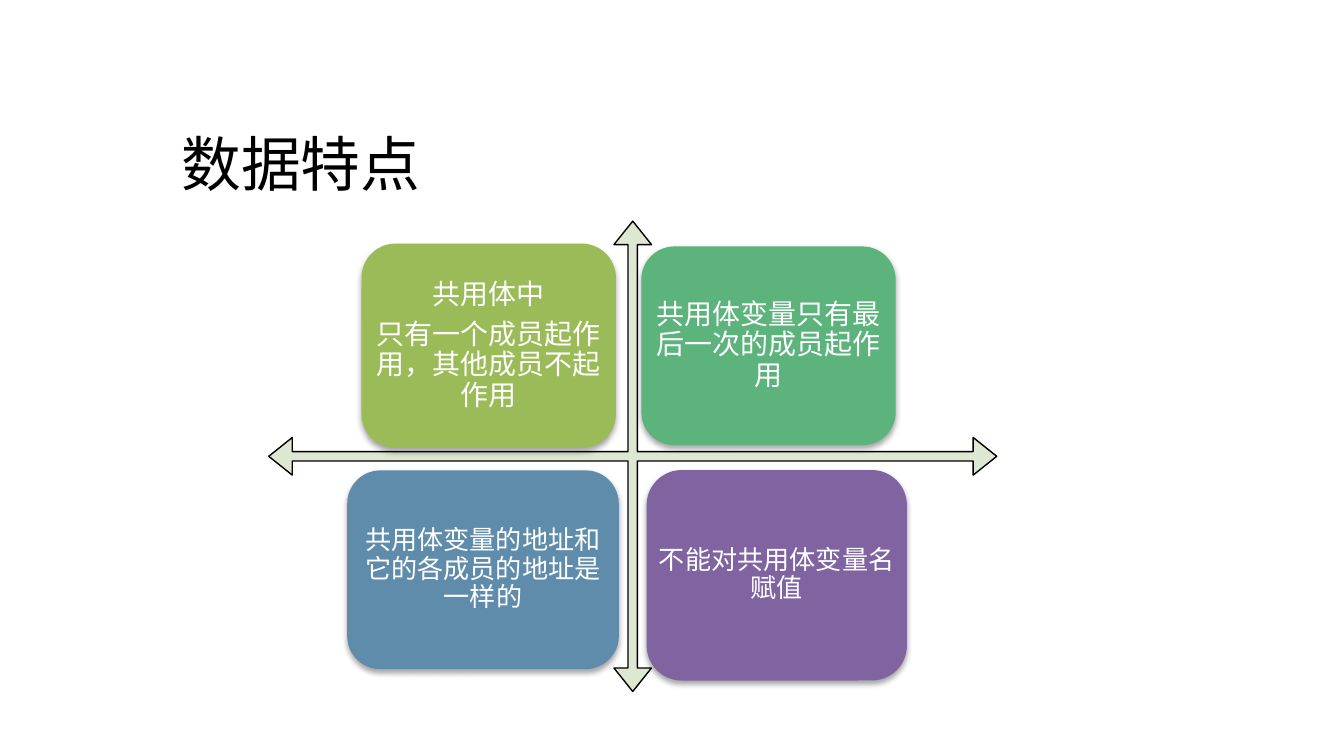
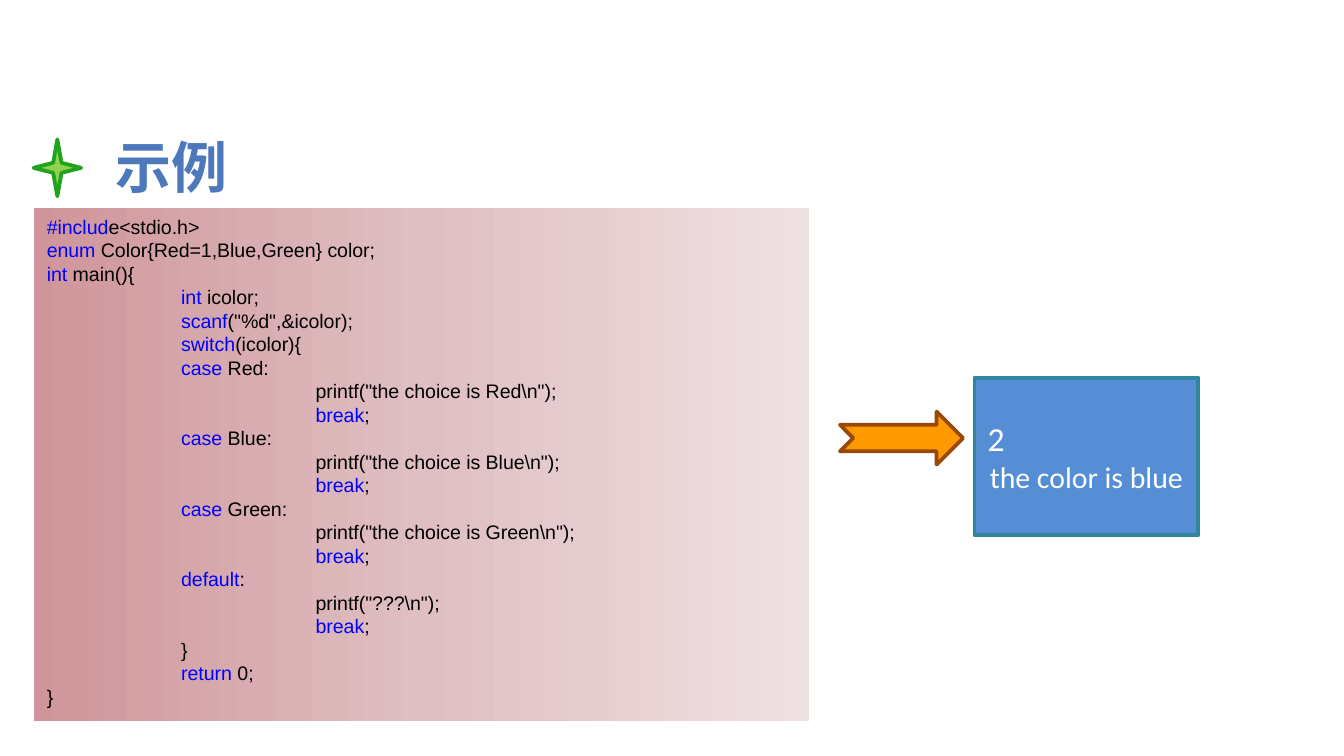
from copy import deepcopy

from lxml.etree import SubElement
from pptx import Presentation
from pptx.dml.color import RGBColor
from pptx.enum.shapes import MSO_SHAPE
from pptx.enum.text import MSO_ANCHOR, PP_ALIGN
from pptx.oxml.ns import qn
from pptx.util import Pt

COLORS = {
    "black": "000000", "white": "FFFFFF", "axis": "DEE7D1",
    "lime": "9BBB59", "green": "5CB37C", "steel": "608CAB", "purple": "8064A2",
    "heading": "4D79BC", "star": "92D050", "star_edge": "20A31D",
    "keyword": "0000FF", "code_left": "CF959A", "code_mid": "DFBFC2", "code_right": "EFE0E1",
    "arrow": "FF9900", "arrow_edge": "984807", "result": "558ED5", "result_edge": "31859C",
}
rgb = {name: RGBColor.from_string(value) for name, value in COLORS.items()}

deck = Presentation()
deck.slide_width, deck.slide_height = Pt(720), Pt(405)


def add_titled_slide(text, box, size, color, font, bold=False):
    slide = deck.slides.add_slide(deck.slide_layouts[5])
    title = slide.shapes.title
    title.left, title.top, title.width, title.height = [Pt(v) for v in box]
    frame = title.text_frame
    frame.text = text
    frame.word_wrap = False
    frame.vertical_anchor = MSO_ANCHOR.MIDDLE
    frame.paragraphs[0].alignment = PP_ALIGN.LEFT
    run_font = frame.paragraphs[0].runs[0].font
    run_font.name, run_font.size, run_font.bold = font, Pt(size), bold
    run_font.color.rgb = rgb[color]
    return slide


def draw_shape(slide, preset, box, fill, edge=None, edge_width=2):
    shape = slide.shapes.add_shape(preset, *[Pt(v) for v in box])
    shape.shadow.inherit = False
    shape.fill.solid()
    shape.fill.fore_color.rgb = rgb[fill]
    if edge:
        shape.line.color.rgb = rgb[edge]
        shape.line.width = Pt(edge_width)
    else:
        shape.line.fill.background()
    return shape


features = add_titled_slide("数据特点", (90, 62.9, 258, 48), 32, "black", "Calibri")

axes = draw_shape(features, MSO_SHAPE.QUAD_ARROW, (144, 118.5, 390, 252), "axis", "black", 0.75)
for index, ratio in enumerate((0.02, 0.04, 0.05)):
    axes.adjustments[index] = ratio

quadrants = [
    ((193.7, 130.5, 136.3, 109.5), "lime", 15, "共用体中\n只有一个成员起作用，其他成员不起作用"),
    ((343.6, 132, 136.3, 106.5), "green", 15, "共用体变量只有最后一次的成员起作用"),
    ((186, 252, 145.5, 106.5), "steel", 14, "共用体变量的地址和它的各成员的地址是一样的"),
    ((346.4, 251.8, 139.5, 112.8), "purple", 14, "不能对共用体变量名赋值"),
]
for box, fill, size, feature in quadrants:
    quadrant = draw_shape(features, MSO_SHAPE.ROUNDED_RECTANGLE, box, fill)
    effects = quadrant._element.spPr.find(qn("a:effectLst"))
    shadow = SubElement(effects, qn("a:outerShdw"), blurRad=str(Pt(3.1)), dist=str(Pt(1.8)),
                        dir="5400000", rotWithShape="0")
    shade = SubElement(shadow, qn("a:srgbClr"), val=COLORS["black"])
    SubElement(shade, qn("a:alpha"), val="35000")
    frame = quadrant.text_frame
    frame.text = feature
    frame.word_wrap = True
    frame.vertical_anchor = MSO_ANCHOR.MIDDLE
    frame.margin_left = frame.margin_right = frame.margin_top = frame.margin_bottom = 0
    for paragraph in frame.paragraphs:
        paragraph.alignment = PP_ALIGN.CENTER
        paragraph.line_spacing = 0.9
        paragraph.space_after = Pt(size * 0.35)
        font = paragraph.runs[0].font
        font.name, font.size = "Calibri", Pt(size)
        font.color.rgb = rgb["white"]

example = add_titled_slide("示例", (54.8, 66.9, 75.6, 44), 30, "heading", "Arial", True)
draw_shape(example, MSO_SHAPE.STAR_4_POINT, (18, 74.7, 25.5, 30.5), "star", "star_edge")

listing = draw_shape(example, MSO_SHAPE.RECTANGLE, (18, 111.6, 415.5, 274.5), "code_left")
listing.fill.gradient()
listing.fill.gradient_angle = 0
stop_list = listing._element.spPr.find(qn("a:gradFill")).find(qn("a:gsLst"))
stop_list.insert(1, deepcopy(stop_list[0]))
for stop, (position, name) in zip(listing.fill.gradient_stops,
                                  [(0, "code_left"), (0.5, "code_mid"), (1, "code_right")]):
    stop.position = position
    stop.color.rgb = rgb[name]

code_lines = [
    (0, "#includ", "e<stdio.h>"),
    (0, "enum ", "Color{Red=1,Blue,Green} color;"),
    (0, "int", " main(){"),
    (1, "int ", "icolor;"),
    (1, "scanf", '("%d",&icolor);'),
    (1, "switch", "(icolor){"),
]
for label, message in [("Red", "the choice is Red"), ("Blue", "the choice is Blue"),
                       ("Green", "the choice is Green"), (None, "???")]:
    code_lines += [
        (1, "case", f" {label}:") if label else (1, "default", ":"),
        (2, "", f'printf("{message}\\n");'),
        (2, "break", ";"),
    ]
code_lines += [(1, "", "}"), (1, "return", " 0;"), (0, "", "}")]

frame = listing.text_frame
frame.word_wrap = True
frame.vertical_anchor = MSO_ANCHOR.TOP
for number, (depth, keyword, rest) in enumerate(code_lines):
    paragraph = frame.add_paragraph() if number else frame.paragraphs[0]
    paragraph.alignment = PP_ALIGN.LEFT
    paragraph.line_spacing = Pt(12.58)
    tab_stops = SubElement(paragraph._p.get_or_add_pPr(), qn("a:tabLst"))
    for step in (1, 2):
        SubElement(tab_stops, qn("a:tab"), pos=str(Pt(72 * step)), algn="l")
    for text, color in [("\t" * depth, "black"), (keyword, "keyword"), (rest, "black")]:
        if text:
            run = paragraph.add_run()
            run.text = text
            run.font.name, run.font.size = "Arial", Pt(10.5)
            run.font.color.rgb = rgb[color]

draw_shape(example, MSO_SHAPE.NOTCHED_RIGHT_ARROW, (450, 220.5, 66, 28.4), "arrow", "arrow_edge")

result = draw_shape(example, MSO_SHAPE.RECTANGLE, (522, 202.3, 120, 84.4), "result", "result_edge")
frame = result.text_frame
frame.text = "2\nthe color is blue"
frame.word_wrap = True
frame.vertical_anchor = MSO_ANCHOR.MIDDLE
for paragraph, size, alignment in zip(frame.paragraphs, (18, 16), (PP_ALIGN.LEFT, PP_ALIGN.CENTER)):
    paragraph.alignment = alignment
    font = paragraph.runs[0].font
    font.name, font.size = "Calibri", Pt(size)
    font.color.rgb = rgb["white"]

deck.save("out.pptx")
